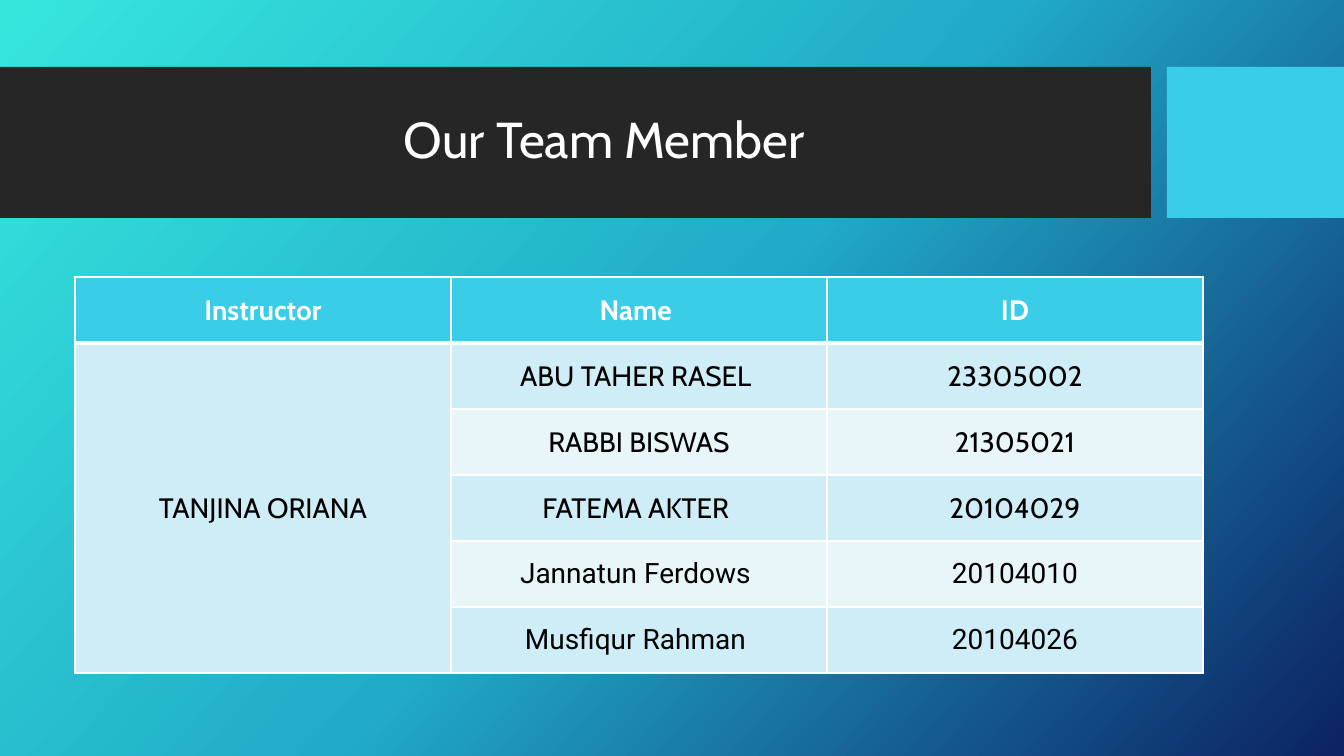
import copy

import pptx
import pptx.dml.color
import pptx.enum.shapes
import pptx.enum.text
import pptx.oxml
import pptx.oxml.ns
import pptx.util

EMU_PER_PX = 914400 / 100.8
SLIDE_BOX = (0, 0, 1344, 756)
BANNER_BOX = (0, 67, 1344, 151)
TABLE_BOX = (75, 277, 1128, 396)
WHITE, BLACK, DARK, CYAN = "FFFFFF", "000000", "262626", "39CDE7"
BAND_FILLS = ["CEEDF6", "E8F6FA"]
BACKGROUND_STOPS = [(0, "36E6DD"), (0.5, "21ABC8"), (1, "0C2263")]
TEAM_ROWS = [
    ["Instructor", "Name ", "ID"],
    ["TANJINA ORIANA", "ABU TAHER RASEL ", "23305002"],
    ["", "RABBI BISWAS", "21305021"],
    ["", "FATEMA AKTER ", "20104029"],
    ["", "Jannatun Ferdows ", "20104010"],
    ["", "Musfiqur Rahman ", "20104026"],
]
FIRST_ROBOTO_ROW = 4
TITLE_FORMAT = {"name": "Cabin", "size": pptx.util.Pt(36), "bold": False}
HEADER_FORMAT = {"name": "Cabin", "size": pptx.util.Pt(20), "bold": True}
BODY_FORMAT = {**HEADER_FORMAT, "bold": False}


def px(length):
    """Turn pixels into EMU."""
    return pptx.util.Emu(round(length * EMU_PER_PX))


def color(hex_string):
    """Turn a hex string into a colour."""
    return pptx.dml.color.RGBColor.from_string(hex_string)


def write_text(text_frame, text, font_format, hex_string):
    """Write one centred, formatted paragraph."""
    paragraph = text_frame.paragraphs[0]
    paragraph.alignment = pptx.enum.text.PP_ALIGN.CENTER
    run = paragraph.add_run()
    run.text = text
    for attribute, value in font_format.items():
        setattr(run.font, attribute, value)
    run.font.color.rgb = color(hex_string)
    return paragraph


def paint_background(slide):
    """Fill the slide with the three-stop diagonal gradient."""
    fill = slide.background.fill
    fill.gradient()
    fill.gradient_angle = 318
    stop_list = slide._element.find(".//" + pptx.oxml.ns.qn("a:gsLst"))
    stop_list.append(copy.deepcopy(stop_list[-1]))
    for stop, (position, hex_string) in zip(fill.gradient_stops, BACKGROUND_STOPS):
        stop.position = position
        stop.color.rgb = color(hex_string)


def add_block(slide, left, top, width, height, hex_string):
    """Add a plain filled rectangle."""
    shape = slide.shapes.add_shape(
        pptx.enum.shapes.MSO_SHAPE.RECTANGLE, px(left), px(top), px(width), px(height)
    )
    shape.shadow.inherit = False
    shape.fill.solid()
    shape.fill.fore_color.rgb = color(hex_string)
    shape.line.fill.background()


def add_banner(slide, box, title):
    """Add the dark title bar and the cyan block at its right."""
    left, top, width, height = box
    block_width, gap = 177, 16
    bar_width = width - block_width - gap
    add_block(slide, left, top, bar_width, height, DARK)
    add_block(slide, left + width - block_width, top, block_width, height, CYAN)
    title_box = slide.shapes.add_textbox(
        px(left + 75), px(top + 16), px(bar_width - 92), px(height - 32)
    )
    text_frame = title_box.text_frame
    text_frame.word_wrap = True
    text_frame.vertical_anchor = pptx.enum.text.MSO_ANCHOR.MIDDLE
    write_text(text_frame, title, TITLE_FORMAT, WHITE).line_spacing = 0.9


def set_borders(cell, row):
    """Draw white cell borders, thick below the header row."""
    widths = {"L": 1, "R": 1, "T": 3 if row == 1 else 1, "B": 3 if row == 0 else 1}
    namespace = pptx.oxml.ns.nsdecls("a")
    properties = cell._tc.get_or_add_tcPr()
    for index, (side, points) in enumerate(widths.items()):
        line = pptx.oxml.parse_xml(
            f'<a:ln{side} {namespace} w="{pptx.util.Pt(points)}"><a:solidFill>'
            f'<a:srgbClr val="{WHITE}"/></a:solidFill></a:ln{side}>'
        )
        properties.insert(index, line)


def add_team_table(slide, box, rows):
    """Add the team table with one instructor cell spanning the body."""
    left, top, width, height = box
    table = slide.shapes.add_table(
        len(rows), len(rows[0]), px(left), px(top), px(width), px(height)
    ).table
    for table_column in table.columns:
        table_column.width = px(width / len(rows[0]))
    for row, texts in enumerate(rows):
        table.rows[row].height = px(height / len(rows))
        is_header = row == 0
        font_format = dict(HEADER_FORMAT if is_header else BODY_FORMAT)
        if row >= FIRST_ROBOTO_ROW:
            font_format["name"] = "Roboto"
        for column, text in enumerate(texts):
            cell = table.cell(row, column)
            cell.vertical_anchor = pptx.enum.text.MSO_ANCHOR.MIDDLE
            cell.fill.solid()
            cell.fill.fore_color.rgb = color(CYAN if is_header else BAND_FILLS[(row - 1) % 2])
            set_borders(cell, row)
            if text:
                write_text(cell.text_frame, text, font_format, WHITE if is_header else BLACK)
    table.cell(1, 0).merge(table.cell(len(rows) - 1, 0))


def main():
    """Build and save the presentation."""
    presentation = pptx.Presentation()
    presentation.slide_width = px(SLIDE_BOX[2])
    presentation.slide_height = px(SLIDE_BOX[3])
    slide = presentation.slides.add_slide(presentation.slide_layouts[6])
    paint_background(slide)
    add_banner(slide, BANNER_BOX, "Our Team Member")
    add_team_table(slide, TABLE_BOX, TEAM_ROWS)
    presentation.save("out.pptx")


if __name__ == "__main__":
    main()
